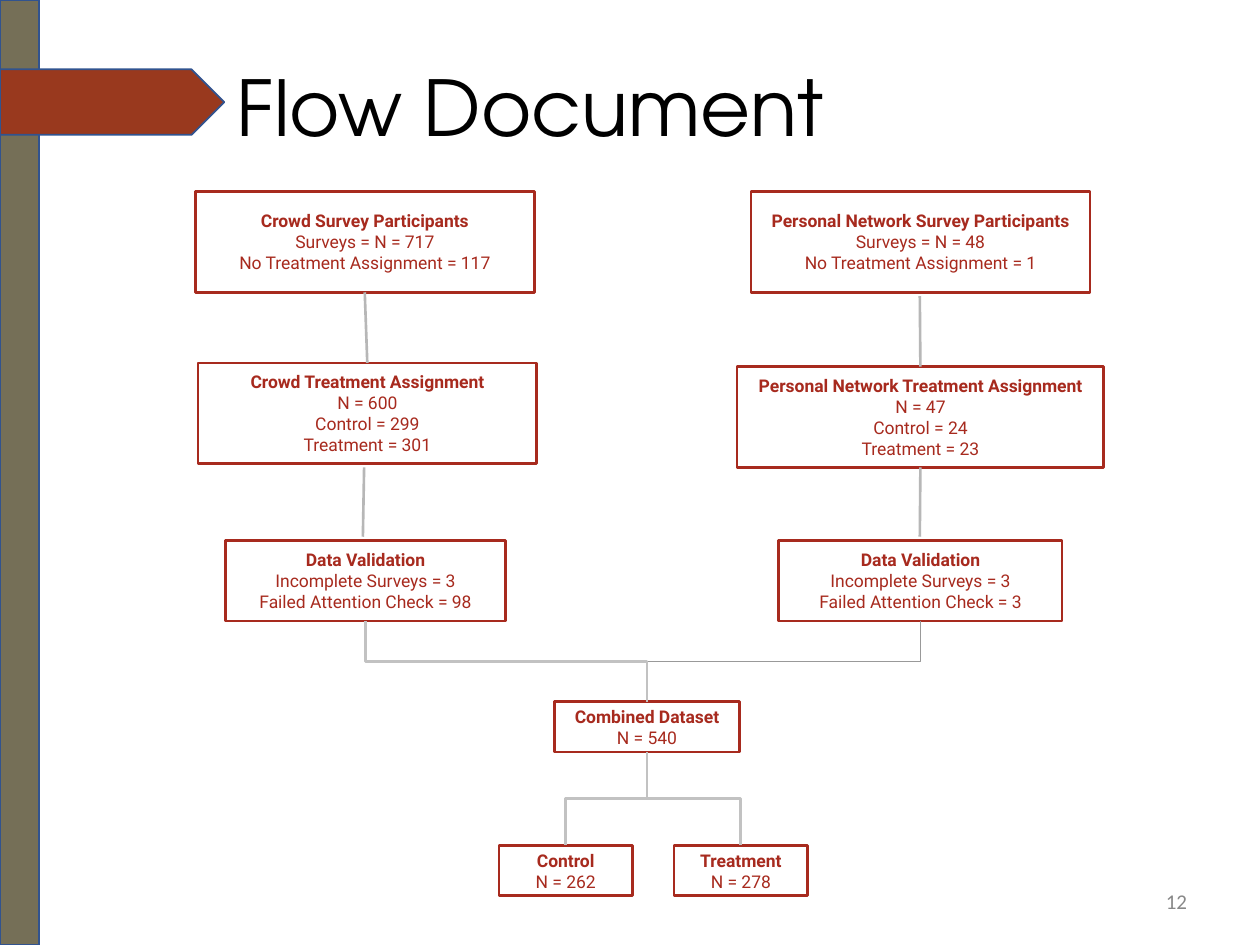
from dataclasses import dataclass

from lxml.etree import SubElement
from pptx import Presentation
from pptx.dml.color import RGBColor
from pptx.enum.shapes import MSO_CONNECTOR as Connector, MSO_SHAPE as Shape
from pptx.enum.text import MSO_ANCHOR as Anchor, MSO_AUTO_SIZE as AutoSize, PP_ALIGN as Align
from pptx.oxml.ns import qn
from pptx.util import Inches, Pt

TOP, BOTTOM = 0, 2


@dataclass(frozen=True)
class Theme:
    """Colours, fonts and type sizes of the slide."""
    bar: str = "756F57"
    tag: str = "99391E"
    outline: str = "31538F"
    box: str = "A72A1E"
    link: str = "B7B7B7"
    branch: str = "C2C2C2"
    merge: str = "999999"
    title: str = "000000"
    number: str = "888888"
    title_font: str = "TeX Gyre Adventor"
    box_font: str = "Roboto"
    number_font: str = "Calibri"
    title_size: int = 44
    box_size: int = 10
    number_size: int = 12


def colour(value):
    """Return an RGB colour from its hex text."""
    return RGBColor.from_string(value)


def write(frame, text, *, font, size, color, align=Align.LEFT, bold_first=False,
          spacing=None, inset=0.05):
    """Fill a text frame with one paragraph per line of text."""
    frame.word_wrap = True
    frame.auto_size = AutoSize.NONE
    frame.vertical_anchor = Anchor.MIDDLE
    frame.margin_left = frame.margin_right = Inches(0.1)
    frame.margin_top = frame.margin_bottom = Inches(inset)
    for index, line in enumerate(text.split("\n")):
        paragraph = frame.add_paragraph() if index else frame.paragraphs[0]
        paragraph.alignment = align
        if spacing:
            paragraph.line_spacing = spacing
        run = paragraph.add_run()
        run.text = line
        run.font.name = font
        run.font.size = Pt(size)
        run.font.bold = bold_first and index == 0
        run.font.color.rgb = colour(color)


class FlowSlide:
    """Hold the theme and the current slide, and draw its elements."""

    def __init__(self, slide, theme):
        """Keep the slide and its theme."""
        self.slide = slide
        self.theme = theme

    def title(self, text, *place):
        """Move and format the title placeholder."""
        shape = self.slide.shapes.title
        shape.left, shape.top, shape.width, shape.height = map(Inches, place)
        write(shape.text_frame, text, font=self.theme.title_font,
              size=self.theme.title_size, color=self.theme.title, spacing=0.9)

    def number(self, text, *place):
        """Add the slide number."""
        shape = self.slide.shapes.add_textbox(*map(Inches, place))
        write(shape.text_frame, text, font=self.theme.number_font,
              size=self.theme.number_size, color=self.theme.number, align=Align.RIGHT)

    def shape(self, kind, place, line, width, fill=None):
        """Add an outlined preset shape with an optional fill."""
        shape = self.slide.shapes.add_shape(kind, *map(Inches, place))
        shape.shadow.inherit = False
        shape.line.color.rgb = colour(line)
        shape.line.width = Pt(width)
        if fill:
            shape.fill.solid()
            shape.fill.fore_color.rgb = colour(fill)
        else:
            shape.fill.background()
        return shape

    def decoration(self, kind, fill, *place):
        """Add a filled decorative shape."""
        return self.shape(kind, place, self.theme.outline, 1, fill)

    def box(self, text, *place):
        """Add a flow box with a bold heading line."""
        shape = self.shape(Shape.RECTANGLE, place, self.theme.box, 1.5)
        write(shape.text_frame, text, font=self.theme.box_font, size=self.theme.box_size,
              color=self.theme.box, align=Align.CENTER, bold_first=True, inset=0.1)
        return shape

    def connector(self, kind, begin, end, color, width):
        """Join two ends, each a box or a point in inches."""
        connector = self.slide.shapes.add_connector(kind, 0, 0, 0, 0)
        if isinstance(begin, tuple):
            connector.begin_x, connector.begin_y = map(Inches, begin)
        else:
            connector.begin_connect(begin, BOTTOM)
        if isinstance(end, tuple):
            connector.end_x, connector.end_y = map(Inches, end)
        else:
            connector.end_connect(end, TOP)
        connector.line.color.rgb = colour(color)
        connector.line.width = Pt(width)
        SubElement(connector.element.spPr, qn("a:effectLst"))
        return connector

    def link(self, begin, end):
        """Add a straight connector."""
        return self.connector(Connector.STRAIGHT, begin, end, self.theme.link, 1.5)

    def branch(self, begin, end, color, width=1.5, preset="bentConnector3"):
        """Add an elbow that leaves its begin point downwards."""
        connector = self.connector(Connector.ELBOW, begin, end, color, width)
        rightward = connector.end_x > connector.begin_x
        left, top, across, down = (connector.left, connector.top,
                                   connector.width, connector.height)
        properties = connector.element.spPr
        frame = properties.find(qn("a:xfrm"))
        for flip in ("flipH", "flipV"):
            frame.attrib.pop(flip, None)
        frame.set("rot", str((270 if rightward else 90) * 60000))
        if rightward:
            frame.set("flipH", "1")
        connector.left = left + (across - down) // 2
        connector.top = top + (down - across) // 2
        connector.width, connector.height = down, across
        properties.find(qn("a:prstGeom")).set("prst", preset)
        return connector


def main():
    """Build the flow slide and save it."""
    presentation = Presentation()
    presentation.slide_width, presentation.slide_height = Inches(10), Inches(7.5)
    theme = Theme()
    flow = FlowSlide(presentation.slides.add_slide(presentation.slide_layouts[5]), theme)

    flow.decoration(Shape.RECTANGLE, theme.bar, 0, 0, 0.31, 7.5)
    flow.decoration(Shape.PENTAGON, theme.tag, 0, 0.55, 1.78, 0.52)
    flow.title("Flow Document", 1.78, 0.16, 7.89, 1.45)
    flow.number("12", 7.27, 6.95, 2.25, 0.4)

    crowd_survey = flow.box(
        "Crowd Survey Participants\nSurveys = N = 717\nNo Treatment Assignment = 117",
        1.55, 1.52, 2.69, 0.8)
    crowd_treatment = flow.box(
        "Crowd Treatment Assignment\nN = 600\nControl = 299\nTreatment = 301",
        1.57, 2.88, 2.69, 0.8)
    crowd_validation = flow.box(
        "Data Validation\nIncomplete Surveys = 3\nFailed Attention Check = 98",
        1.79, 4.29, 2.22, 0.64)
    flow.box(
        "Personal Network Survey Participants\nSurveys = N = 48\nNo Treatment Assignment = 1",
        5.96, 1.52, 2.69, 0.8)
    network_treatment = flow.box(
        "Personal Network Treatment Assignment\nN = 47\nControl = 24\nTreatment = 23",
        5.85, 2.91, 2.91, 0.8)
    network_validation = flow.box(
        "Data Validation\nIncomplete Surveys = 3\nFailed Attention Check = 3",
        6.18, 4.29, 2.25, 0.64)
    combined = flow.box("Combined Dataset\nN = 540", 4.4, 5.57, 1.47, 0.4)
    control = flow.box("Control\nN = 262", 3.96, 6.71, 1.06, 0.4)
    treatment = flow.box("Treatment\nN = 278", 5.35, 6.71, 1.06, 0.4)

    flow.link(crowd_survey, crowd_treatment)
    flow.link((2.89, 3.71), (2.88, 4.26))
    flow.link((7.3, 2.35), network_treatment)
    flow.link(network_treatment, (7.3, 4.26))

    flow.branch(crowd_validation, combined, theme.branch)
    flow.branch(network_validation, (5.14, 5.25), theme.merge, 0.75, "bentConnector2")
    for group in (control, treatment):
        flow.branch(combined, group, theme.branch)

    presentation.save("out.pptx")


if __name__ == "__main__":
    main()
